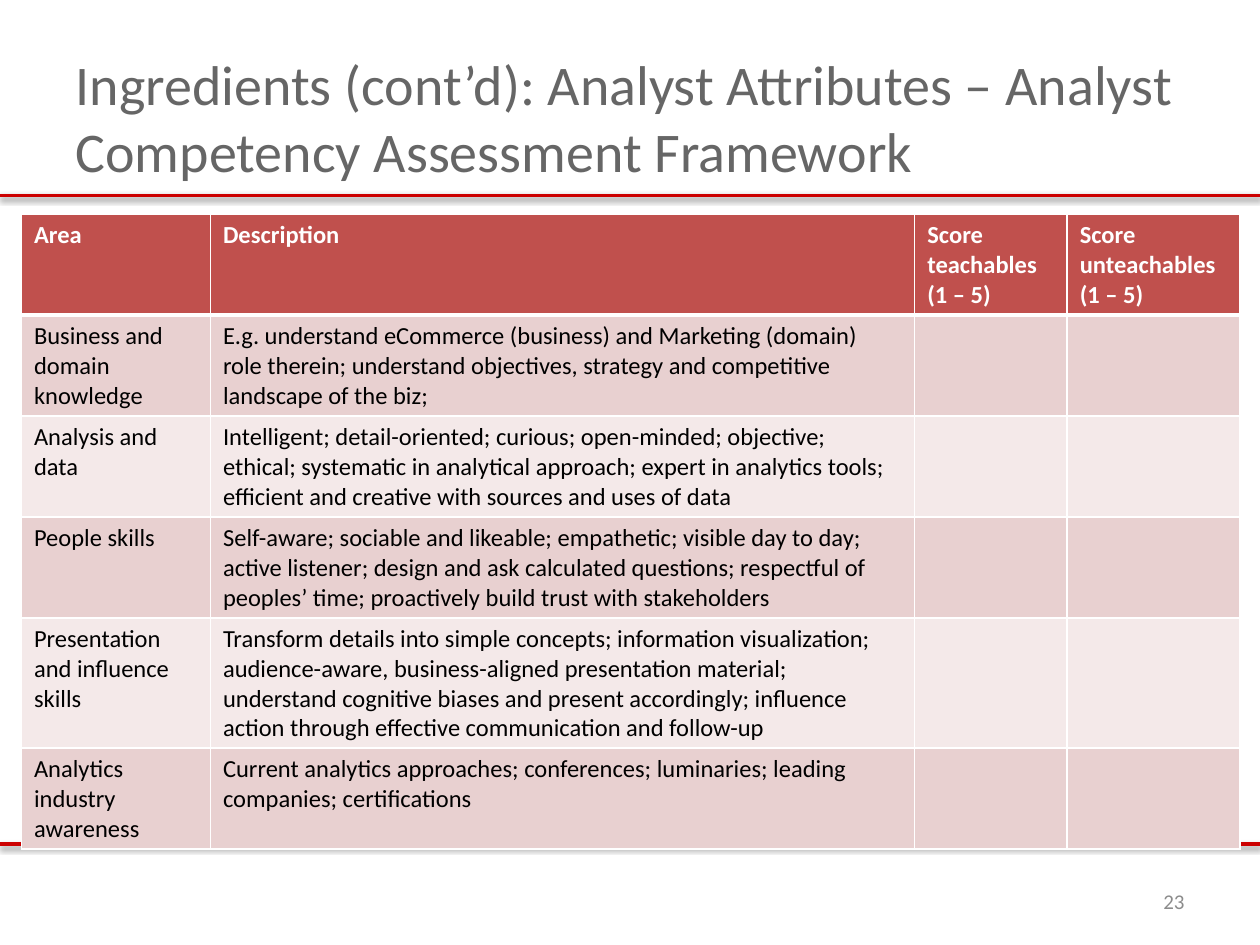
from dataclasses import dataclass
from lxml.etree import SubElement as Sub
from pptx import Presentation
from pptx.dml.color import RGBColor as RGB
from pptx.enum.shapes import MSO_CONNECTOR as Conn
from pptx.enum.text import MSO_ANCHOR as Anchor, PP_ALIGN as Align
from pptx.oxml.ns import qn
from pptx.util import Inches, Pt

TITLE = "Ingredients (cont’d): Analyst Attributes – Analyst Competency Assessment Framework"
NUMBER = "23"
HEAD = ["Area", "Description", "Score teachables (1 – 5)", "Score unteachables (1 – 5)"]
AREAS = [
    ("Business and domain knowledge",
     "E.g. understand eCommerce (business) and Marketing (domain) role therein; "
     "understand objectives, strategy and competitive landscape of the biz;"),
    ("Analysis and data",
     "Intelligent; detail-oriented; curious; open-minded; objective; ethical; "
     "systematic in analytical approach; expert in analytics tools; "
     "efficient and creative with sources and uses of data"),
    ("People skills",
     "Self-aware; sociable and likeable; empathetic; visible day to day; active listener; "
     "design and ask calculated questions; respectful of peoples’ time; "
     "proactively build trust with stakeholders"),
    ("Presentation and influence skills",
     "Transform details into simple concepts; information visualization; audience-aware, "
     "business-aligned presentation material; understand cognitive biases and present "
     "accordingly; influence action through effective communication and follow-up"),
    ("Analytics industry awareness",
     "Current analytics approaches; conferences; luminaries; leading companies; certifications"),
]

COLS, ROWS = 100, 75
RULES = (67, 15.5)
TITLE_BOX = (5, 3, 90, 12.5)
NUMBER_BOX = (71.7, 69.5, 23.3, 4)
TABLE_BOX = (1.7, 17, 96.7, 50.3)
WIDTHS = (15, 55.9, 12.1, 13.7)
ROW = 4.1


@dataclass(frozen=True)
class Theme:
    font: str = "Calibri"
    rule: str = "CC0000"
    title: str = "666666"
    number: str = "8C8C8C"
    head: str = "C0504D"
    bands: tuple = ("E8D0D0", "F4E9E9")
    white: str = "FFFFFF"
    black: str = "000000"
    big: int = 32
    body: int = 14
    small: int = 12


T = Theme()


def grid(*cells):
    return [Inches(c / 10) for c in cells]


def write(frame, text, size, color, bold=False, align=Align.LEFT):
    para = frame.paragraphs[0]
    para.alignment = align
    run = para.add_run()
    run.text = text
    font = run.font
    font.name, font.size, font.bold = T.font, Pt(size), bold
    font.color.rgb = RGB.from_string(color)


def add_rule(slide, row):
    line = slide.shapes.add_connector(Conn.STRAIGHT, *grid(0, row, COLS, row))
    line.line.color.rgb = RGB.from_string(T.rule)
    line.line.width = Pt(2)
    effects = Sub(line._element.spPr, qn("a:effectLst"))
    shade = Sub(effects, qn("a:outerShdw"), blurRad=str(Pt(3.1)), dist=str(Pt(1.6)),
                dir="5400000", rotWithShape="0")
    tint = Sub(shade, qn("a:srgbClr"), val=T.black)
    Sub(tint, qn("a:alpha"), val="38000")


def paint(cell, fill, base):
    props = cell._tc.get_or_add_tcPr()
    for side in ("L", "R", "T", "B"):
        width = Pt(3 if side == "B" and base else 1)
        edge = Sub(props, qn(f"a:ln{side}"), w=str(width))
        Sub(Sub(edge, qn("a:solidFill")), qn("a:srgbClr"), val=T.white)
    cell.fill.solid()
    cell.fill.fore_color.rgb = RGB.from_string(fill)


def add_grid(slide):
    rows = [HEAD] + [(*area, "", "") for area in AREAS]
    frame = slide.shapes.add_table(len(rows), len(HEAD), *grid(*TABLE_BOX))
    table = frame.table
    for col, width in zip(table.columns, grid(*WIDTHS)):
        col.width = width
    for r, texts in enumerate(rows):
        table.rows[r].height = grid(ROW)[0]
        top = r == 0
        fill = T.head if top else T.bands[(r - 1) % 2]
        for c, text in enumerate(texts):
            cell = table.cell(r, c)
            paint(cell, fill, top)
            if text:
                write(cell.text_frame, text, T.body, T.white if top else T.black, top)
    frame.height = grid(TABLE_BOX[3])[0]


def main():
    deck = Presentation()
    deck.slide_width, deck.slide_height = grid(COLS, ROWS)
    slide = deck.slides.add_slide(deck.slide_layouts[5])
    for row in RULES:
        add_rule(slide, row)

    title = slide.shapes.title
    title.left, title.top, title.width, title.height = grid(*TITLE_BOX)
    title.text_frame.vertical_anchor = Anchor.MIDDLE
    write(title.text_frame, TITLE, T.big, T.title)

    box = slide.shapes.add_textbox(*grid(*NUMBER_BOX)).text_frame
    box.word_wrap = True
    box.vertical_anchor = Anchor.MIDDLE
    write(box, NUMBER, T.small, T.number, align=Align.RIGHT)

    add_grid(slide)
    deck.save("out.pptx")


if __name__ == "__main__":
    main()
